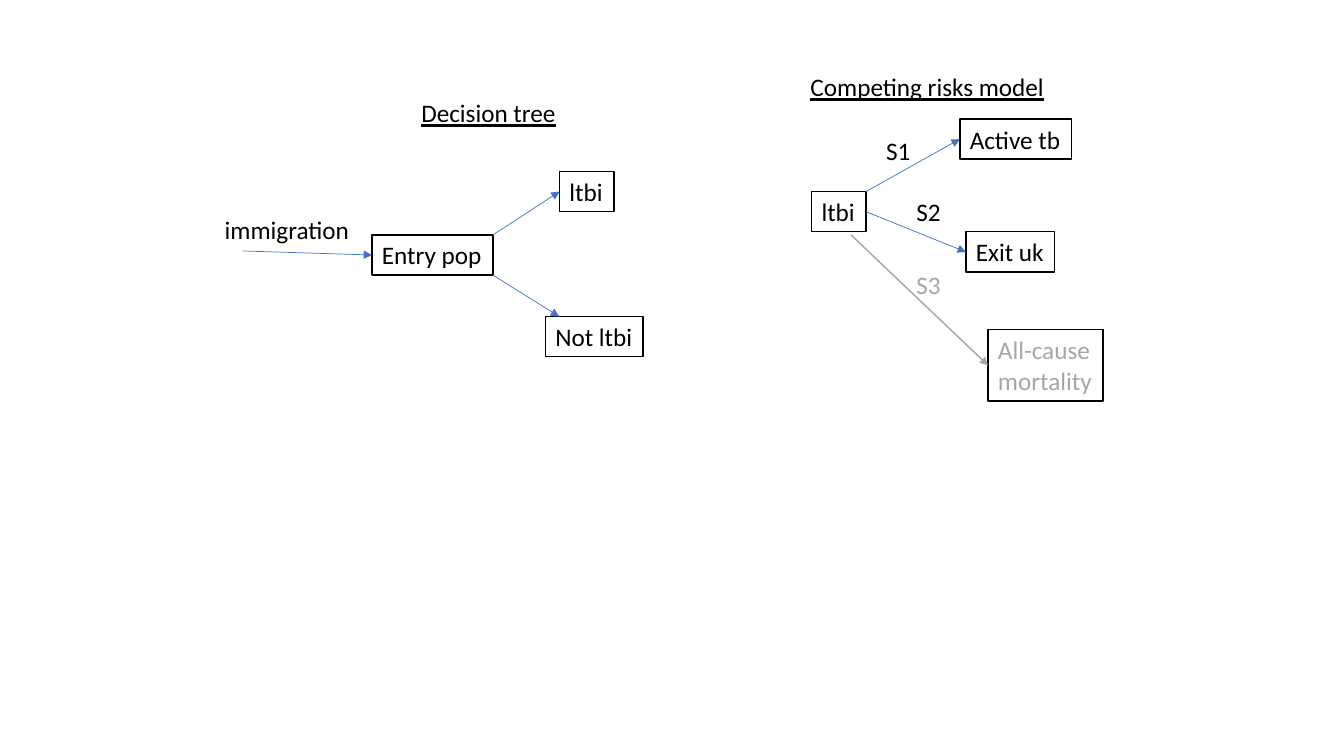
from lxml.etree import SubElement
from pptx import Presentation
from pptx.dml.color import RGBColor
from pptx.enum.shapes import MSO_CONNECTOR, MSO_SHAPE
from pptx.enum.text import MSO_ANCHOR, MSO_AUTO_SIZE, PP_ALIGN
from pptx.oxml.ns import qn
from pptx.util import Inches, Pt

COLORS = {"white": "FFFFFF", "black": "000000", "blue": "4472C4",
          "gray_line": "A5A5A5", "gray_text": "A6A6A6"}
FONT, SIZE = "Calibri", 18
ROW_H = 0.4

# name: (text, left, top, width, height, text colour)
BOXES = {
    "entry": ("Entry pop", 3.69, 2.33, 1.2, ROW_H, "black"),
    "tree_ltbi": ("ltbi", 5.55, 1.7, 0.54, ROW_H, "black"),
    "not_ltbi": ("Not ltbi", 5.41, 3.14, 0.97, ROW_H, "black"),
    "risk_ltbi": ("ltbi", 8.05, 1.9, 0.54, ROW_H, "black"),
    "active_tb": ("Active tb", 9.52, 1.18, 1.11, ROW_H, "black"),
    "exit_uk": ("Exit uk", 9.58, 2.3, 0.88, ROW_H, "black"),
    "mortality": ("All-cause\nmortality", 9.8, 3.27, 1.14, 0.71, "gray_text"),
}

# text, left, top, width, colour, underlined
LABELS = [
    ("immigration", 2.13, 2.08, 1.45, "black", False),
    ("S1", 8.69, 1.29, 0.45, "black", False),
    ("S2", 8.99, 1.9, 0.45, "black", False),
    ("S3", 8.99, 2.62, 0.45, "gray_text", False),
    ("Decision tree", 4.08, 0.92, 1.55, "black", True),
    ("Competing risks model", 7.94, 0.66, 2.55, "black", True),
]

# Each end is a free point (x, y) or (box, share of width, share of height)
ARROWS = [
    ((2.41, 2.49), ("entry", 0, 0.5), "blue", 0.5),
    (("entry", 1, 0), ("tree_ltbi", 0, 0.5), "blue", 0.5),
    (("entry", 1, 1), ("not_ltbi", 0.14, 0), "blue", 0.5),
    (("risk_ltbi", 1, 0), ("active_tb", 0, 0.5), "blue", 0.5),
    (("risk_ltbi", 1, 0.5), ("exit_uk", 0, 0.5), "blue", 0.5),
    ((8.44, 2.33), ("mortality", 0, 0.5), "gray_line", 1),
]


def rgb(name):
    """Return the named colour."""
    return RGBColor.from_string(COLORS[name])


def write(sp, text, color, underline=False):
    """Set left-aligned, unwrapped text in a shape."""
    tf = sp.text_frame
    tf.text = text
    tf.word_wrap = False
    tf.auto_size = MSO_AUTO_SIZE.SHAPE_TO_FIT_TEXT
    tf.vertical_anchor = MSO_ANCHOR.TOP
    for p in tf.paragraphs:
        p.alignment = PP_ALIGN.LEFT
        for r in p.runs:
            r.font.name, r.font.size = FONT, Pt(SIZE)
            r.font.color.rgb = rgb(color)
            if underline:
                r.font.underline = True


def add_box(s, text, left, top, width, height, color):
    """Add a state box with a black outline."""
    sp = s.shapes.add_shape(MSO_SHAPE.RECTANGLE, *map(Inches, (left, top, width, height)))
    sp.shadow.inherit = False
    sp.fill.solid()
    sp.fill.fore_color.rgb = rgb("white")
    sp.line.color.rgb = rgb("black")
    sp.line.width = Pt(1)
    write(sp, text, color)


def add_label(s, text, left, top, width, color, underline):
    """Add a heading or an arrow label."""
    sp = s.shapes.add_textbox(*map(Inches, (left, top, width, ROW_H)))
    write(sp, text, color, underline)


def locate(end):
    """Turn an arrow end into slide coordinates."""
    if len(end) == 2:
        return end
    name, across, down = end
    _, left, top, width, height, _ = BOXES[name]
    return left + across * width, top + down * height


def add_arrow(s, start, end, color, width):
    """Add a straight connector with a triangle head."""
    points = map(Inches, (*locate(start), *locate(end)))
    sp = s.shapes.add_connector(MSO_CONNECTOR.STRAIGHT, *points)
    sp.line.color.rgb = rgb(color)
    sp.line.width = Pt(width)
    SubElement(sp.line._get_or_add_ln(), qn("a:tailEnd"), type="triangle")
    SubElement(sp._element.spPr, qn("a:effectLst"))


prs = Presentation()
prs.slide_width, prs.slide_height = Inches(13.33), Inches(7.5)
s = prs.slides.add_slide(prs.slide_layouts[6])
for box in BOXES.values():
    add_box(s, *box)
for arrow in ARROWS:
    add_arrow(s, *arrow)
for label in LABELS:
    add_label(s, *label)
prs.save("out.pptx")
